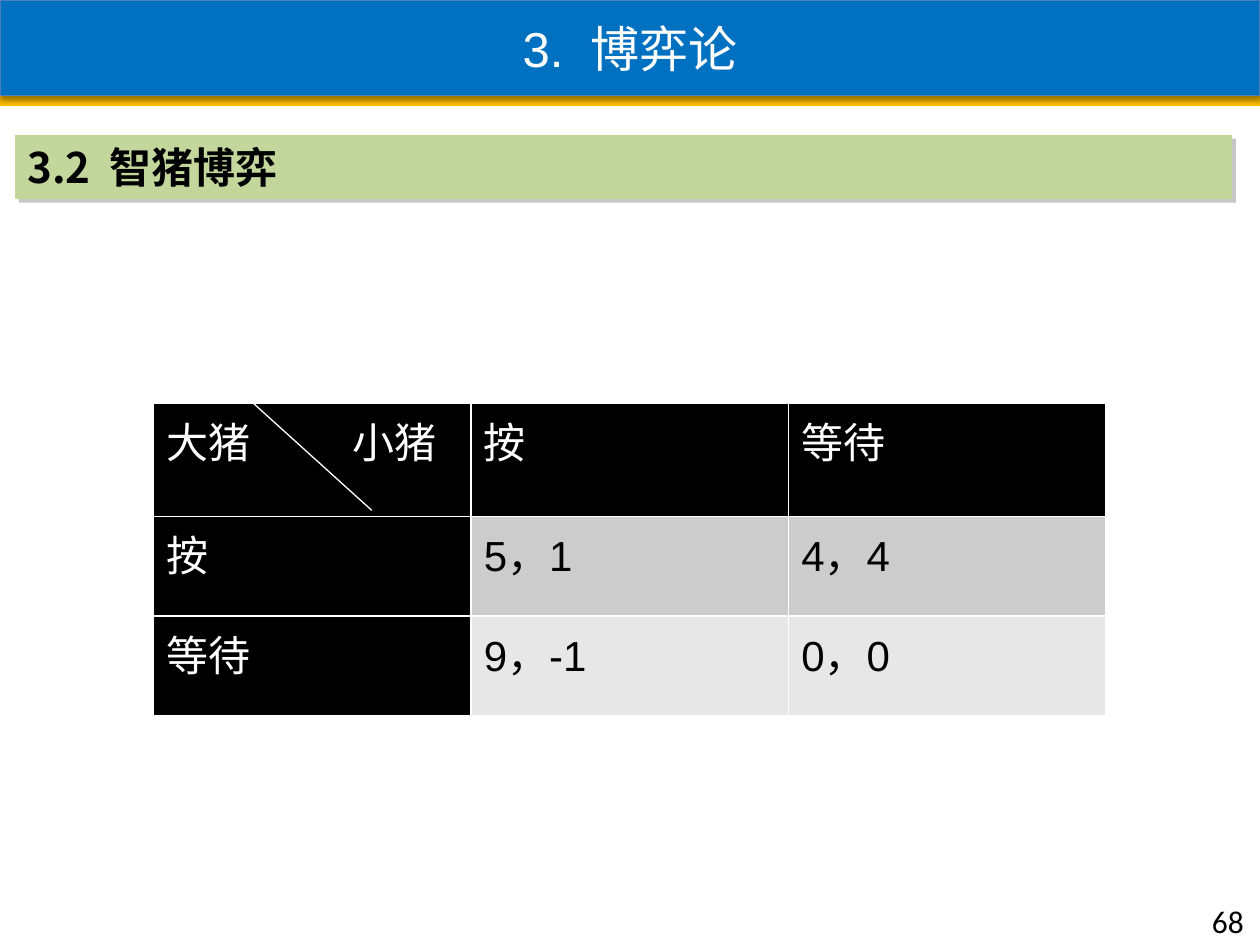
"""Build the slide on the smart pigs game with its payoff table."""
from lxml import etree
from pptx import Presentation
from pptx import util as u
from pptx.dml.color import RGBColor
from pptx.enum import shapes, text
from pptx.oxml import ns, parse_xml

COLORS = {
    "title": "0070C0", "title_edge": "4B7EBC", "accent": "FFC000",
    "section": "C3D69B", "section_shadow": "808080",
    "white": "FFFFFF", "black": "000000",
    "band_dark": "CCCCCC", "band_light": "E7E7E7",
}
CJK_FONT = "Noto Sans CJK SC"
PAYOFFS = [
    ["大猪\t小猪", "按", "等待"],
    ["按", "5，1", "4，4"],
    ["等待", "9，-1", "0，0"],
]
ROW_HEIGHTS = [0.9, 0.79, 0.79]
COLUMN_WIDTH = 2.52


def rgb(name):
    return RGBColor.from_string(COLORS[name])


def add_tab_stop(paragraph, position):
    properties = paragraph._p.get_or_add_pPr()
    stops = etree.SubElement(properties, ns.qn("a:tabLst"))
    etree.SubElement(stops, ns.qn("a:tab"), pos=str(u.Inches(position)), algn="l")


def write(frame, content, size=24, font="Arial", color="black", bold=False,
          align=text.PP_ALIGN.LEFT, anchor=text.MSO_ANCHOR.TOP, tab=None):
    frame.vertical_anchor = anchor
    paragraph = frame.paragraphs[0]
    paragraph.alignment = align
    if tab:
        add_tab_stop(paragraph, tab)
    run = paragraph.add_run()
    run.text = content
    run.font.size = u.Pt(size)
    run.font.bold = bold
    run.font.color.rgb = rgb(color)
    run.font.name = font
    etree.SubElement(run._r.get_or_add_rPr(), ns.qn("a:ea"), typeface=CJK_FONT)


def paint(shape, fill, edge=None):
    shape.fill.solid()
    shape.fill.fore_color.rgb = rgb(fill)
    if edge:
        shape.line.color.rgb = rgb(edge)
        shape.line.width = u.Pt(0.75)
    else:
        shape.line.fill.background()


def add_shadow(shape, color, alpha, blur, distance, angle):
    shape._element.spPr.append(parse_xml(
        f'<a:effectLst {ns.nsdecls("a")}>'
        f'<a:outerShdw blurRad="{u.Pt(blur)}" dist="{u.Pt(distance)}" '
        f'dir="{angle * 60000}" algn="ctr" rotWithShape="0">'
        f'<a:srgbClr val="{COLORS[color]}"><a:alpha val="{alpha * 1000}"/></a:srgbClr>'
        '</a:outerShdw></a:effectLst>'))


def add_bar(slide, left, top, width, height, fill):
    bar = slide.shapes.add_shape(
        shapes.MSO_SHAPE.RECTANGLE,
        u.Inches(left), u.Inches(top), u.Inches(width), u.Inches(height))
    bar.shadow.inherit = False
    paint(bar, fill)
    return bar


def add_title(slide):
    title = slide.shapes.title
    title.left, title.top = u.Inches(0), u.Inches(0)
    title.width, title.height = u.Inches(10), u.Inches(0.76)
    paint(title, "title", "title_edge")
    add_shadow(title, "black", alpha=38, blur=3.1, distance=1.6, angle=90)
    write(title.text_frame, "3.  博弈论", size=28, color="white",
          align=text.PP_ALIGN.CENTER, anchor=text.MSO_ANCHOR.MIDDLE)
    slide.shapes._spTree.append(title._element)


def add_section(slide):
    section = add_bar(slide, 0.12, 1.07, 9.66, 0.51, "section")
    section._element.spPr.remove(section._element.spPr.find(ns.qn("a:effectLst")))
    add_shadow(section, "section_shadow", alpha=43, blur=0, distance=3, angle=45)
    write(section.text_frame, "3.2  智猪博弈", font=CJK_FONT, bold=True)


def add_borders(cell):
    properties = cell._tc.get_or_add_tcPr()
    for position, side in enumerate(("lnL", "lnR", "lnT", "lnB")):
        properties.insert(position, parse_xml(
            f'<a:{side} {ns.nsdecls("a")} w="{u.Pt(1)}"><a:solidFill>'
            f'<a:srgbClr val="{COLORS["white"]}"/></a:solidFill></a:{side}>'))


def add_payoff_table(slide):
    table = slide.shapes.add_table(
        len(PAYOFFS), len(PAYOFFS[0]), u.Inches(1.22), u.Inches(3.2),
        u.Inches(COLUMN_WIDTH * 3), u.Inches(sum(ROW_HEIGHTS))).table
    for column in table.columns:
        column.width = u.Inches(COLUMN_WIDTH)
    for r, (height, values) in enumerate(zip(ROW_HEIGHTS, PAYOFFS)):
        table.rows[r].height = u.Inches(height)
        for c, value in enumerate(values):
            cell = table.cell(r, c)
            heading = r == 0 or c == 0
            band = "band_dark" if r % 2 else "band_light"
            cell.fill.solid()
            cell.fill.fore_color.rgb = rgb("black" if heading else band)
            add_borders(cell)
            write(cell.text_frame, value, color="white" if heading else "black",
                  tab=1.48 if "\t" in value else None)


def add_diagonal(slide):
    diagonal = slide.shapes.add_connector(
        shapes.MSO_CONNECTOR.STRAIGHT,
        u.Inches(2.01), u.Inches(3.2), u.Inches(2.95), u.Inches(4.05))
    diagonal.line.color.rgb = rgb("white")
    diagonal.line.width = u.Pt(0.75)
    etree.SubElement(diagonal._element.spPr, ns.qn("a:effectLst"))


def add_page_number(slide):
    number = slide.shapes.add_textbox(
        u.Inches(9.52), u.Inches(7.11), u.Inches(0.47), u.Inches(0.4))
    number.text_frame.word_wrap = True
    write(number.text_frame, "68", size=18, font="Calibri")


def main():
    deck = Presentation()
    deck.slide_width, deck.slide_height = u.Inches(10), u.Inches(7.5)
    slide = deck.slides.add_slide(deck.slide_layouts[5])
    add_bar(slide, 0, 0.76, 10, 0.08, "accent")
    add_section(slide)
    add_payoff_table(slide)
    add_diagonal(slide)
    add_page_number(slide)
    add_title(slide)
    deck.save("out.pptx")


if __name__ == "__main__":
    main()
